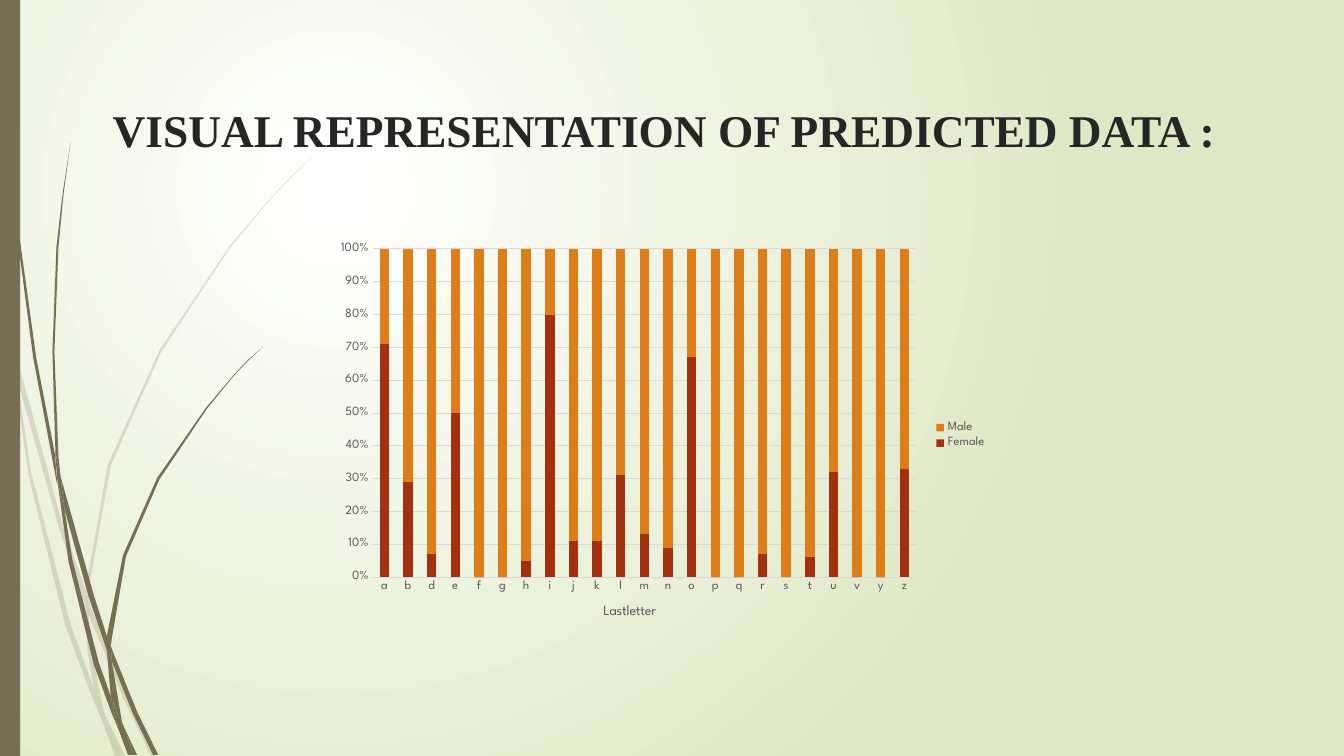
from pptx import Presentation
from pptx import util as u
from pptx.chart import data as chart_data
from pptx.dml import color as dml
from pptx.enum import chart as charts, shapes, text
from pptx.oxml import ns, xmlchemy as xml

COLORS = {
    "olive": "766F54", "white": "FFFFFF", "pale": "DFE8C4", "ink": "262626",
    "grey": "595959", "grid": "D9D9D9", "Female": "A53010", "Male": "DE7E18",
}
RGB = {name: dml.RGBColor.from_string(value) for name, value in COLORS.items()}
HUNDREDTH_INCH = u.Pt(0.72)

FAINT_BLADES = [
    "11 350 9 322 0 282 0 299 10 344",
    "58 522 84 599 85 586 62 520 14 345 17 376",
    "92 607 88 596 88 610 123 694 150 750 155 750 127 692",
    "119 750 124 750 105 711",
    "93 683 70 619 31 469 17 376 11 350 28 470 65 621 92 693 101 714 99 707",
    "84 599 87 646 93 683 96 692 105 711 103 706 91 646 88 610 88 608",
    "88 584 110 462 160 349 229 245 268 198 290 175 312 153 289 175 268 197 228 244 158 348 107 461 85 584 85 586 88 596",
    "101 714 114 750 119 750",
    "88 608 88 610 88 596 85 586 84 599",
    "96 692 93 683 99 707 101 714 119 750 105 711",
]
SOLID_BLADES = [
    "7 110 17 233 33 355 56 477 57 481 55 457 55 453 36 355 19 232 8 109 5 48 4 0 3 0 4 48",
    "88 592 106 645 106 633 106 631 93 590 60 472 64 505",
    "113 649 110 641 111 656 132 708 152 749 157 749 136 706",
    "110 691 98 657 72 556 64 505 57 477 68 557 93 659 111 708 117 722 116 717",
    "60 472 58 453 54 349 58 245 63 193 70 141 62 193 56 245 52 349 55 449",
    "133 749 136 749 122 719",
    "57 477 64 505 60 472 55 449 55 453",
    "111 633 125 552 158 476 205 406 231 374 245 359 261 344 245 358 231 373 204 405 156 474 122 551 106 631 110 641",
    "117 722 127 749 131 749",
    "106 645 110 691 116 706 122 719 121 716 111 656 109 651",
    "106 645 109 651 111 656 110 641 106 631 106 633",
    "116 706 110 691 116 717 117 722 130 749 133 749 122 719",
]
LETTERS = "abdefghijklmnopqrstuvyz"
FEMALE = [71, 29, 7, 50, 0, 0, 5, 80, 11, 11, 31, 13, 9, 67, 0, 0, 7, 0, 6, 32, 0, 0, 33]


def paint(part, name):
    part.shadow.inherit = False
    part.line.fill.background()
    part.fill.solid()
    part.fill.fore_color.rgb = RGB[name]


def place(parent, values):
    layout = parent.find(ns.qn("c:layout"))
    if layout is None:
        layout = xml.OxmlElement("c:layout")
        parent.insert(0, layout)
    manual = xml.OxmlElement("c:manualLayout")
    layout.append(manual)
    for tag, value in values.items():
        entry = xml.OxmlElement(f"c:{tag}")
        entry.set("val", str(value))
        manual.append(entry)


deck = Presentation()
deck.slide_width, deck.slide_height = u.Pt(960), u.Pt(540)
slide = deck.slides.add_slide(deck.slide_layouts[6])

backdrop = slide.background.fill
backdrop.gradient()
for stop, name, position in zip(backdrop.gradient_stops, ("white", "pale"), (0, 1)):
    stop.color.rgb = RGB[name]
    stop.position = position
linear = slide.background._cSld.find(".//" + ns.qn("a:lin"))
glow = xml.OxmlElement("a:path")
glow.set("path", "circle")
focus = xml.OxmlElement("a:fillToRect")
for side, share in {"l": 50000, "t": 50000, "r": 100000, "b": 100000}.items():
    focus.set(side, str(share))
glow.append(focus)
linear.getparent().replace(linear, glow)

for blades, opacity in ((FAINT_BLADES, 20), (SOLID_BLADES, 100)):
    for outline in blades:
        numbers = [int(number) for number in outline.split()]
        points = list(zip(numbers[::2], numbers[1::2]))
        builder = slide.shapes.build_freeform(*points[0], scale=HUNDREDTH_INCH)
        builder.add_line_segments(points[1:], close=True)
        blade = builder.convert_to_shape()
        paint(blade, "olive")
        if opacity < 100:
            alpha = xml.OxmlElement("a:alpha")
            alpha.set("val", str(opacity * 1000))
            blade._element.spPr.find(".//" + ns.qn("a:srgbClr")).append(alpha)

side_bar = slide.shapes.add_shape(shapes.MSO_SHAPE.RECTANGLE, 0, 0, u.Pt(14.4), u.Pt(540))
paint(side_bar, "olive")

heading = slide.shapes.add_textbox(u.Pt(73.44), u.Pt(69.12), u.Pt(832.32), u.Pt(80.64)).text_frame
for key, value in {"word_wrap": True, "vertical_anchor": text.MSO_ANCHOR.TOP}.items():
    setattr(heading, key, value)
heading_run = heading.paragraphs[0].add_run()
heading_run.text = "VISUAL REPRESENTATION OF PREDICTED DATA :"
for key, value in {"name": "Times New Roman", "size": u.Pt(32.4), "bold": True}.items():
    setattr(heading_run.font, key, value)
heading_run.font.color.rgb = RGB["ink"]

shares = chart_data.CategoryChartData()
shares.categories = list(LETTERS)
shares.add_series("Female", FEMALE)
shares.add_series("Male", [100 - share for share in FEMALE])
gender_chart = slide.shapes.add_chart(
    charts.XL_CHART_TYPE.COLUMN_STACKED_100, u.Pt(232.56), u.Pt(166.32),
    u.Pt(479.52), u.Pt(289.44), shares).chart
gender_chart.has_title = False
gender_chart.has_legend = True
legend = gender_chart.legend
legend.position = charts.XL_LEGEND_POSITION.RIGHT
legend.include_in_layout = False

bars = gender_chart.plots[0]
for key, value in {"gap_width": 150, "overlap": 100, "vary_by_categories": False}.items():
    setattr(bars, key, value)
for series in bars.series:
    series.format.fill.solid()
    series.format.fill.fore_color.rgb = RGB[series.name]

letters, percent = gender_chart.category_axis, gender_chart.value_axis
for axis in (letters, percent):
    axis.major_tick_mark = axis.minor_tick_mark = charts.XL_TICK_MARK.NONE
    axis.format.line.fill.background()
for key, value in {"minimum_scale": 0, "maximum_scale": 1, "major_unit": 0.1,
                   "has_major_gridlines": True}.items():
    setattr(percent, key, value)
percent.major_gridlines.format.line.color.rgb = RGB["grid"]
percent.major_gridlines.format.line.width = u.Pt(0.75)
percent.tick_labels.number_format = "0%"
percent.tick_labels.number_format_is_linked = False

letters.axis_title.text_frame.text = "Lastletter"
caption = letters.axis_title.text_frame.paragraphs[0].runs[0]
for font, size in ((gender_chart.font, 10), (letters.tick_labels.font, 9),
                   (percent.tick_labels.font, 9), (legend.font, 9), (caption.font, 10)):
    for key, value in {"name": "League Spartan", "size": u.Pt(size), "bold": False}.items():
        setattr(font, key, value)
    font.color.rgb = RGB["grey"]

plot_area = gender_chart._chartSpace.find(".//" + ns.qn("c:plotArea"))
place(plot_area, {"layoutTarget": "inner", "xMode": "edge", "yMode": "edge",
                  "x": 0.07, "y": 0.04, "w": 0.81, "h": 0.81})
place(letters.axis_title._element, {"xMode": "edge", "yMode": "edge", "x": 0.41, "y": 0.91})

deck.save("out.pptx")
